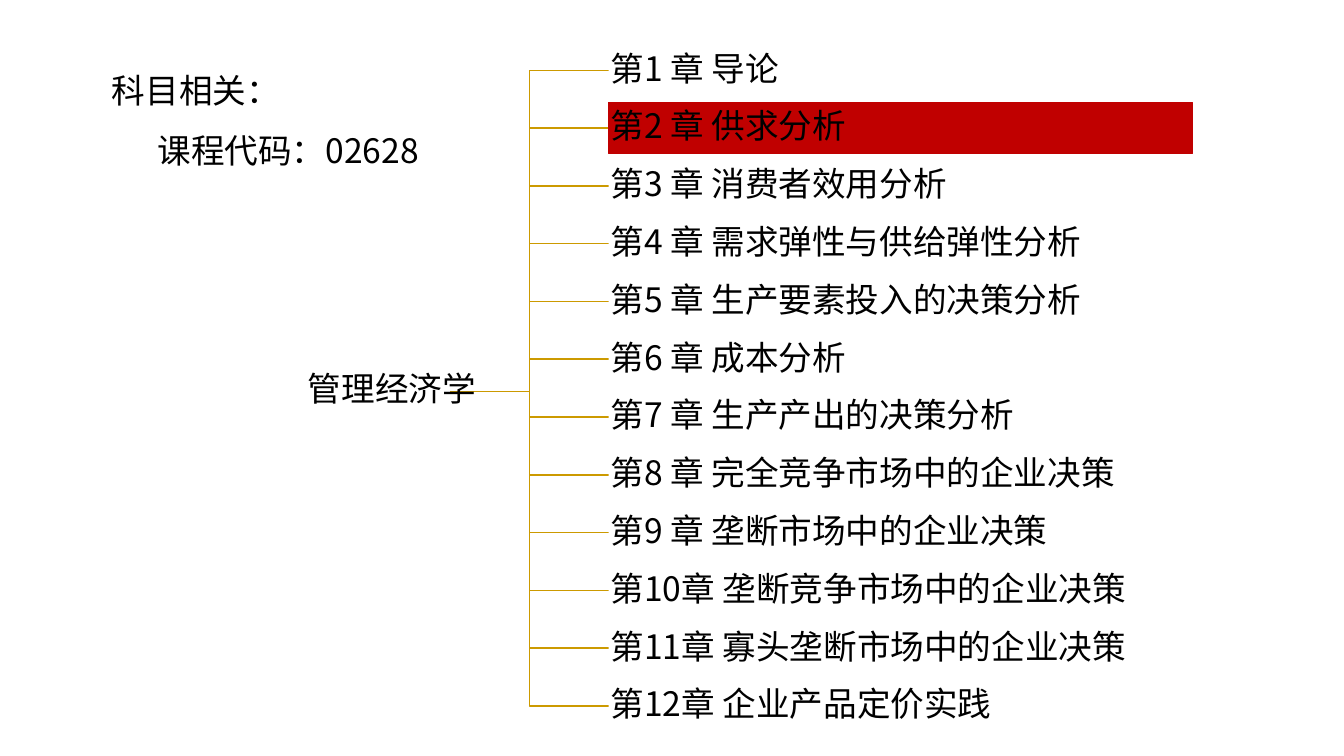
from lxml.etree import SubElement
from pptx import Presentation
from pptx.dml.color import RGBColor
from pptx.enum.shapes import MSO_SHAPE as Shape
from pptx.enum.text import MSO_ANCHOR as Anchor, PP_ALIGN as Align
from pptx.oxml.ns import qn
from pptx.util import Cm, Pt

BLACK = RGBColor(0x00, 0x00, 0x00)
WHITE = RGBColor(0xFF, 0xFF, 0xFF)
RED = RGBColor(0xC0, 0x00, 0x00)
GOLD = RGBColor(0xCC, 0x9A, 0x00)
FONT = "Noto Sans CJK SC"
ACTIVE = 1
TOPICS = [
    "第1 章 导论",
    "第2 章 供求分析",
    "第3 章 消费者效用分析",
    "第4 章 需求弹性与供给弹性分析",
    "第5 章 生产要素投入的决策分析",
    "第6 章 成本分析",
    "第7 章 生产产出的决策分析",
    "第8 章 完全竞争市场中的企业决策",
    "第9 章 垄断市场中的企业决策",
    "第10章 垄断竞争市场中的企业决策",
    "第11章 寡头垄断市场中的企业决策",
    "第12章 企业产品定价实践",
]


def write(para, text, align=Align.LEFT, space=0.9):
    para.alignment = align
    para.line_spacing = space
    run = para.add_run()
    run.text = text
    font = run.font
    font.size = Pt(24)
    font.name = FONT
    font.color.rgb = BLACK
    SubElement(font._element, qn("a:ea"), typeface=FONT)


def label(shape, text, align):
    frame = shape.text_frame
    frame.word_wrap = True
    frame.vertical_anchor = Anchor.MIDDLE
    frame.margin_left = frame.margin_right = Cm(0.05)
    frame.margin_top = frame.margin_bottom = Cm(0.05)
    write(frame.paragraphs[0], text, align)


def branch(slide, start, bend, end):
    (left, top), (right, low) = start, end
    form = slide.shapes.build_freeform(left, top)
    form.add_line_segments([(bend, top), (bend, low), (right, low)], close=False)
    link = form.convert_to_shape()
    link.shadow.inherit = False
    link.fill.background()
    link.line.color.rgb = GOLD
    link.line.width = Pt(1)


def chapter(slide, left, top, width, height, text, active):
    bar = slide.shapes.add_shape(Shape.RECTANGLE, left, top, width, height)
    bar.shadow.inherit = False
    bar.fill.solid()
    bar.fill.fore_color.rgb = RED if active else WHITE
    if active:
        bar.line.color.rgb = RED
        bar.line.width = Pt(0.75)
    else:
        bar.line.fill.background()
    label(bar, text, Align.LEFT)


def tree(slide, left, top, width, height):
    tall = Cm(1.3)
    step = (height - tall) / (len(TOPICS) - 1)
    edge = left + Cm(8.41)
    start = left + Cm(4.42), top + Cm(8.74)
    bend = (start[0] + edge) // 2
    rows = [round(top + step * i) for i in range(len(TOPICS))]
    for row in reversed(rows):
        branch(slide, start, bend, (edge, row + tall // 2))
    root = slide.shapes.add_textbox(left, top + Cm(7.26), Cm(5.89), Cm(2.95))
    label(root, "管理经济学", Align.CENTER)
    for i, (row, text) in enumerate(zip(rows, TOPICS)):
        chapter(slide, edge, row, left + width - edge, tall, text, i == ACTIVE)


def course(slide, left, top, width, height):
    frame = slide.shapes.add_textbox(left, top, width, height).text_frame
    frame.word_wrap = True
    write(frame.paragraphs[0], "科目相关：", space=1.5)
    code = frame.add_paragraph()
    code._p.get_or_add_pPr().set("marL", str(Cm(1.15)))
    write(code, "课程代码：02628", space=1.5)


def main():
    deck = Presentation()
    deck.slide_width, deck.slide_height = Cm(33.87), Cm(19.05)
    slide = deck.slides.add_slide(deck.slide_layouts[6])
    tree(slide, Cm(6.93), Cm(1.12), Cm(23.12), Cm(17.32))
    course(slide, Cm(2.57), Cm(1.12), Cm(20.8), Cm(3.33))
    deck.save("out.pptx")


if __name__ == "__main__":
    main()
